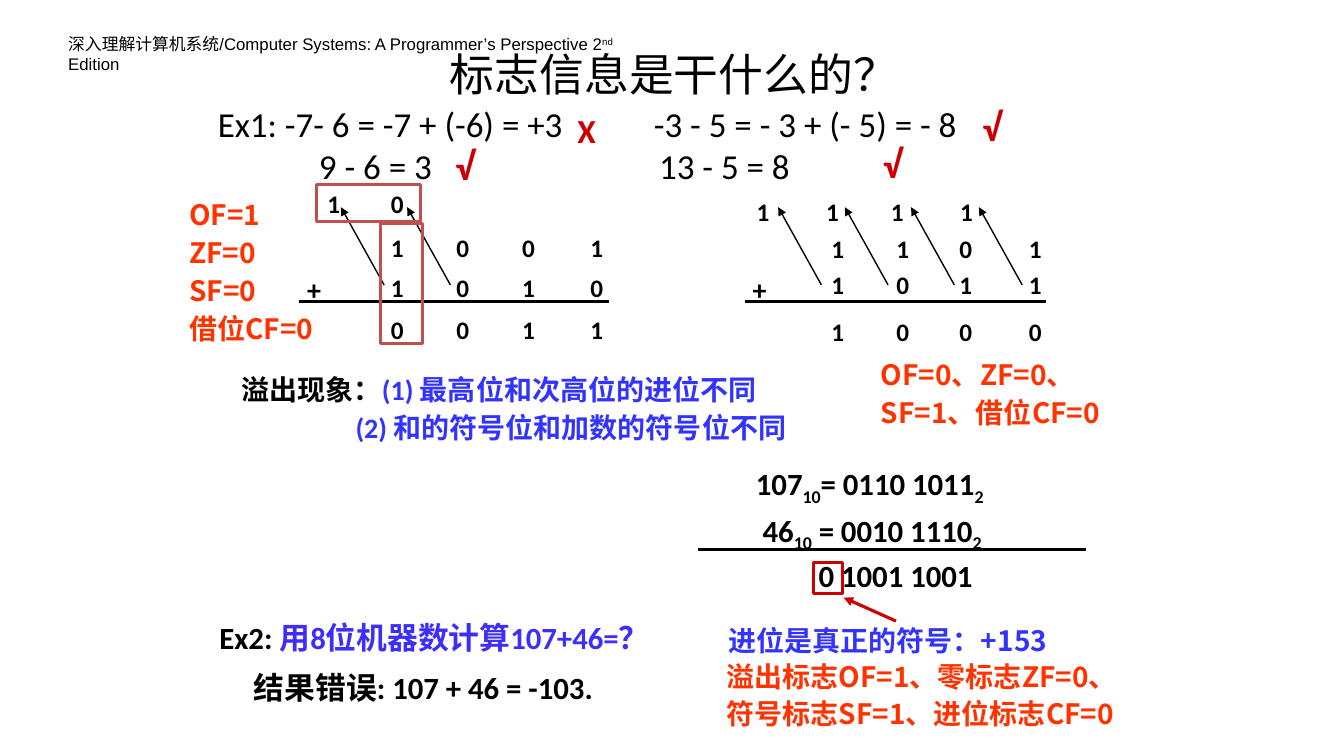
from lxml import etree
from pptx import Presentation
from pptx import util as u
from pptx.dml.color import RGBColor
from pptx.enum import shapes, text
from pptx.oxml.ns import qn

COLORS = {
    "black": "000000", "white": "FFFFFF", "red": "CC0000", "brick": "C0504D",
    "orange": "FF3300", "blue": "3333FF", "violet": "3D2EFC",
}
NOTO = "Noto Sans CJK SC"


class FlagSlide:
    def __init__(self, page):
        self.page = page
        self.style = {"name": "Calibri", "size": 18, "bold": True, "color": "black"}

    def color(self, name):
        return RGBColor.from_string(COLORS[name])

    def span(self, para, words, style):
        span = para.add_run()
        span.text = words
        values = {"name": style["name"], "size": u.Pt(style["size"]), "bold": style["bold"]}
        for key, value in values.items():
            setattr(span.font, key, value)
        span.font.color.rgb = self.color(style["color"])
        props = span._r.get_or_add_rPr()
        etree.SubElement(props, qn("a:ea")).set("typeface", style["name"])
        if "baseline" in style:
            props.set("baseline", str(style["baseline"] * 1000))

    def paragraph(self, para, spans, style, spacing=None, before=0, indent=0):
        """Fill a paragraph; spans is a string or a list of (words, style changes)."""
        values = {"line_spacing": spacing, "space_before": u.Pt(before),
                  "alignment": style.get("align", text.PP_ALIGN.LEFT)}
        for key, value in values.items():
            setattr(para, key, value)
        props = para._p.get_or_add_pPr()
        props.set("marL", str(u.Cm(indent)))
        props.set("indent", "0")
        for words, changes in [(spans, {})] if isinstance(spans, str) else spans:
            self.span(para, words, {**style, **changes})

    def text(self, at, paragraphs, wrap=True, inset=(0.25, 0.13), fill=None, **changes):
        """Add a text box; each paragraph is (spans, paragraph options)."""
        box = self.page.shapes.add_textbox(*map(u.Cm, at))
        if fill:
            box.fill.solid()
            box.fill.fore_color.rgb = self.color(fill)
        frame = box.text_frame
        side, top = map(u.Cm, inset)
        values = {"word_wrap": wrap, "auto_size": text.MSO_AUTO_SIZE.SHAPE_TO_FIT_TEXT,
                  "margin_left": side, "margin_right": side,
                  "margin_top": top, "margin_bottom": top}
        for key, value in values.items():
            setattr(frame, key, value)
        for index, (spans, options) in enumerate(paragraphs):
            para = frame.add_paragraph() if index else frame.paragraphs[0]
            self.paragraph(para, spans, {**self.style, **changes}, **options)

    def notes(self, at, lines, color, fill=None):
        """Add evenly spaced lines about the flags."""
        paragraphs = [(line, {"spacing": u.Pt(24), "before": 3 if index else 0})
                      for index, line in enumerate(lines)]
        self.text(at, paragraphs, fill=fill, name=NOTO, size=20, color=color)

    def equation(self, x, y, words):
        self.text((x, y, 10.6, 1.2), [(words, {"spacing": 0.95})],
                  inset=(0.18, 0.08), size=25, bold=False)

    def digit(self, x, y, symbol, size=18):
        self.text((x, y, 0.86, 1.02), [(symbol, {})], wrap=False, size=size)

    def mark(self, x, y, symbol, size=28):
        self.text((x, y, 1.37, 1.45), [(symbol, {})], size=size, color="red")

    def line(self, start, end, color="black", width=2.25, arrow=False):
        line = self.page.shapes.add_connector(
            shapes.MSO_CONNECTOR.STRAIGHT, *map(u.Cm, (*start, *end)))
        line.line.color.rgb = self.color(color)
        line.line.width = u.Pt(width)
        if arrow:
            outline = line.line._get_or_add_ln()
            etree.SubElement(outline, qn("a:tailEnd")).set("type", "triangle")
        etree.SubElement(line._element.spPr, qn("a:effectLst"))

    def frame(self, at, color):
        box = self.page.shapes.add_shape(shapes.MSO_SHAPE.RECTANGLE, *map(u.Cm, at))
        box.shadow.inherit = False
        box.fill.background()
        box.line.color.rgb = self.color(color)
        box.line.width = u.Pt(2.25)

    def addition(self, columns, rows, carries, carry_xs, carry_y, arrow_xs, rule):
        """Draw a binary addition with its carries above."""
        for y, bits in rows:
            for x, bit in zip(columns, bits):
                self.digit(x, y, bit)
        for x, bit in zip(carry_xs, carries):
            self.digit(x, carry_y, bit)
        for x in arrow_xs:
            self.line((x, 7.18), (x - 1.09, 5.22), width=1, arrow=True)
        left, right = rule
        self.digit(left - 0.05, 6.73, "+", size=20)
        self.line((left, 7.59), (right, 7.59))


def main():
    deck = Presentation()
    deck.slide_width, deck.slide_height = u.Cm(33.87), u.Cm(19.05)
    slide = FlagSlide(deck.slides.add_slide(deck.slide_layouts[6]))

    slide.text((1.47, 0.71, 15.5, 0.76), [([
        ("深入理解计算机系统/Computer Systems: A Programmer’s Perspective 2", {}),
        ("nd", {"baseline": 30}), (" Edition", {})], {})],
        name="Arial", size=12, bold=False)
    slide.text((5.66, 1.09, 22.66, 1.5), [("标志信息是干什么的？", {})],
               inset=(0.18, 0.08), size=32, bold=False, align=text.PP_ALIGN.CENTER)
    for x, y, words in (
            (5.31, 2.59, "Ex1: -7- 6 = -7 + (-6) = +3"),
            (16.3, 2.59, "-3 - 5 = - 3 + (- 5) = - 8"),
            (7.86, 3.65, "9 - 6 = 3"),
            (16.43, 3.65, "13 - 5 = 8")):
        slide.equation(x, y, words)

    slide.addition(
        columns=(9.6, 11.25, 12.91, 14.63),
        rows=((5.73, "1001"), (6.73, "1010"), (7.8, "0011")),
        carries="10", carry_xs=(8, 9.6), carry_y=4.62,
        arrow_xs=(9.68, 11.35), rule=(7.54, 15.34))
    slide.addition(
        columns=(20.7, 22.34, 23.93, 25.68),
        rows=((5.75, "1101"), (6.65, "1011"), (7.85, "1000")),
        carries="1111", carry_xs=(18.82, 20.57, 22.2, 23.95), carry_y=4.81,
        arrow_xs=(20.7, 22.38, 24.05, 25.76), rule=(18.77, 26.37))
    slide.frame((7.98, 4.65, 2.62, 0.94), "brick")
    slide.frame((9.6, 5.64, 1.04, 3.02), "brick")

    slide.text((5.28, 15.32, 12.4, 2.64), [
        ([("Ex2: ", {}), ("用8位机器数计算107+46=？", {"color": "violet"})],
         {"spacing": 1.15}),
        ("结果错误: 107 + 46 = -103.", {"spacing": 1.15, "before": 5.5, "indent": 0.87}),
    ], size=22)
    slide.text((5.84, 9.12, 15.85, 2.21), [
        ([("溢出现象：", {"color": "black"}), ("(1) 最高位和次高位的进位不同", {})],
         {"spacing": 1.15}),
        ("(2) 和的符号位和加数的符号位不同", {"spacing": 1.15, "indent": 2.87}),
    ], size=20, color="blue")

    low = {"baseline": -25}
    slide.text((18.8, 11.58, 8.36, 2.95), [
        ([("107", {}), ("10", low), ("= 0110 1011", {}), ("2", low)], {}),
        ([("46", {}), ("10", low), (" = 0010 1110", {}), ("2", low)],
         {"before": 3.3, "indent": 0.17}),
    ], size=22)
    slide.text((20.38, 13.9, 5.4, 1.19), [("0 1001 1001", {})], size=22)
    slide.line((17.6, 13.84), (27.38, 13.84))
    slide.frame((20.5, 14.17, 0.74, 0.79), "red")
    slide.line((22.58, 15.65), (21.26, 15.06), color="red", arrow=True)

    slide.notes((18.11, 15.58, 10.8, 1.09), ["进位是真正的符号：+153"], "blue")
    slide.notes((18.06, 16.48, 11.05, 2.08),
                ["溢出标志OF=1、零标志ZF=0、", "符号标志SF=1、进位标志CF=0"],
                "orange", fill="white")
    slide.notes((21.95, 8.89, 6.99, 2.08), ["OF=0、ZF=0、", "SF=1、借位CF=0"], "orange")
    slide.notes((4.52, 4.85, 4.24, 4.04), ["OF=1", "ZF=0", "SF=0", "借位CF=0"], "orange")

    slide.mark(14.3, 2.64, "X", size=24)
    for x, y in ((24.51, 2.44), (22, 3.38), (11.23, 3.43)):
        slide.mark(x, y, "√")

    deck.save("out.pptx")


if __name__ == "__main__":
    main()
